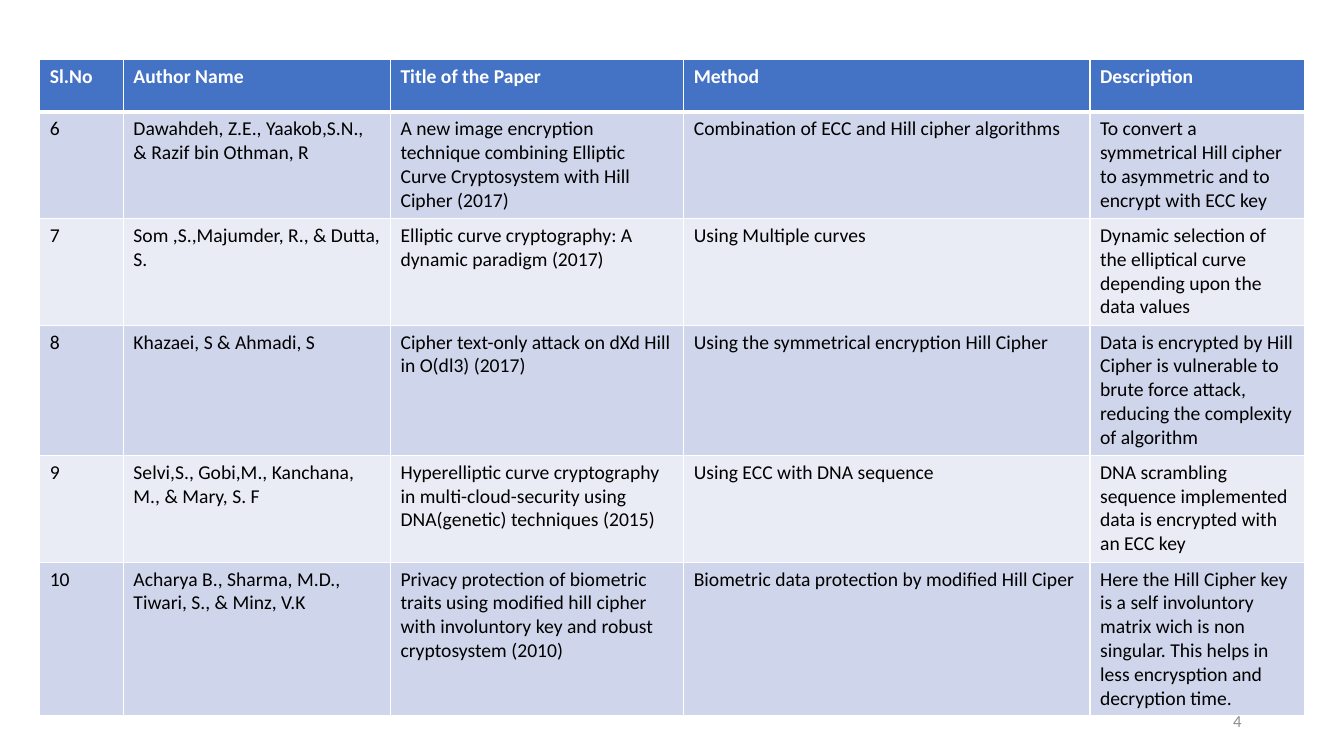
from dataclasses import dataclass

from lxml import etree
from pptx import Presentation
from pptx.dml.color import RGBColor
from pptx.enum import text
from pptx.oxml import ns
from pptx.util import Cm, Pt

HEADER = ("Sl.No", "Author Name", "Title of the Paper", "Method", "Description")
PAPERS = [
    ("6", "Dawahdeh, Z.E., Yaakob,S.N., & Razif bin Othman, R",
     "A new image encryption technique combining Elliptic Curve Cryptosystem with Hill Cipher (2017)",
     "Combination of ECC and Hill cipher algorithms",
     "To convert a symmetrical Hill cipher to asymmetric and to encrypt with ECC key"),
    ("7", "Som ,S.,Majumder, R., & Dutta, S.",
     "Elliptic curve cryptography: A dynamic paradigm (2017)",
     "Using Multiple curves",
     "Dynamic selection of the elliptical curve depending upon the data values"),
    ("8", "Khazaei, S & Ahmadi, S",
     "Cipher text-only attack on dXd Hill in O(dl3) (2017)",
     "Using the symmetrical encryption Hill Cipher",
     "Data is encrypted by Hill Cipher is vulnerable to brute force attack, "
     "reducing the complexity of algorithm"),
    ("9", "Selvi,S., Gobi,M., Kanchana, M., & Mary, S. F",
     "Hyperelliptic curve cryptography in multi-cloud-security using DNA(genetic) techniques (2015)",
     "Using ECC with DNA sequence",
     "DNA scrambling sequence implemented data is encrypted with an ECC key"),
    ("10", "Acharya B., Sharma, M.D., Tiwari, S., & Minz, V.K",
     "Privacy protection of biometric traits using modified hill cipher with involuntory key "
     "and robust cryptosystem (2010)",
     "Biometric data protection by modified Hill Ciper",
     "Here the Hill Cipher key is a self involuntory matrix wich is non singular. "
     "This helps in less encrysption and decryption time."),
]
PAGE_NUMBER = "4"

COLUMN_WIDTHS = (2.11, 6.73, 7.39, 10.24, 5.41)
ROW_HEIGHTS = (1.32, 2.69, 2.69, 3.28, 2.69, 3.86)
TABLE_LEFT, TABLE_TOP = 1, 1.5


@dataclass(frozen=True)
class Theme:
    font: str = "Calibri"
    table_size: int = 14
    number_size: int = 12
    header_fill: str = "4472C4"
    bands: tuple = ("CFD5EA", "E9EBF5")
    header_text: str = "FFFFFF"
    body_text: str = "000000"
    number_text: str = "8C8C8C"
    border: str = "FFFFFF"
    thin: int = 1
    thick: int = 3


THEME = Theme()


def format_runs(text_frame, size, color, bold=False):
    for paragraph in text_frame.paragraphs:
        for run in paragraph.runs:
            run.font.name = THEME.font
            run.font.size = Pt(size)
            run.font.bold = bold
            run.font.color.rgb = RGBColor.from_string(color)


def set_borders(cell, top, bottom):
    """Draw all four cell borders; the side ones are thin."""
    properties = cell._tc.get_or_add_tcPr()
    widths = {"lnL": THEME.thin, "lnR": THEME.thin, "lnT": top, "lnB": bottom}
    for position, (side, width) in enumerate(widths.items()):
        line = etree.Element(ns.qn(f"a:{side}"), w=str(Pt(width)))
        fill = etree.SubElement(line, ns.qn("a:solidFill"))
        etree.SubElement(fill, ns.qn("a:srgbClr"), val=THEME.border)
        properties.insert(position, line)


def add_paper_table(slide):
    rows = [HEADER, *PAPERS]
    frame = slide.shapes.add_table(
        len(rows), len(HEADER), Cm(TABLE_LEFT), Cm(TABLE_TOP),
        Cm(sum(COLUMN_WIDTHS)), Cm(sum(ROW_HEIGHTS)))
    table = frame.table
    for column, width in zip(table.columns, COLUMN_WIDTHS):
        column.width = Cm(width)
    for index, (row, height, values) in enumerate(zip(table.rows, ROW_HEIGHTS, rows)):
        row.height = Cm(height)
        is_header = index == 0
        fill = THEME.header_fill if is_header else THEME.bands[(index - 1) % 2]
        color = THEME.header_text if is_header else THEME.body_text
        top = THEME.thick if index == 1 else THEME.thin
        bottom = THEME.thick if is_header else THEME.thin
        for cell, value in zip(row.cells, values):
            cell.text_frame.text = value
            format_runs(cell.text_frame, THEME.table_size, color, bold=is_header)
            cell.fill.solid()
            cell.fill.fore_color.rgb = RGBColor.from_string(fill)
            set_borders(cell, top, bottom)


def add_page_number(slide):
    box = slide.shapes.add_textbox(Cm(23.92), Cm(17.66), Cm(7.62), Cm(1.01))
    text_frame = box.text_frame
    text_frame.word_wrap = True
    text_frame.vertical_anchor = text.MSO_ANCHOR.MIDDLE
    text_frame.text = PAGE_NUMBER
    text_frame.paragraphs[0].alignment = text.PP_ALIGN.RIGHT
    format_runs(text_frame, THEME.number_size, THEME.number_text)


def main():
    presentation = Presentation()
    presentation.slide_width, presentation.slide_height = Cm(33.87), Cm(19.05)
    slide = presentation.slides.add_slide(presentation.slide_layouts[6])
    add_paper_table(slide)
    add_page_number(slide)
    presentation.save("out.pptx")


if __name__ == "__main__":
    main()
